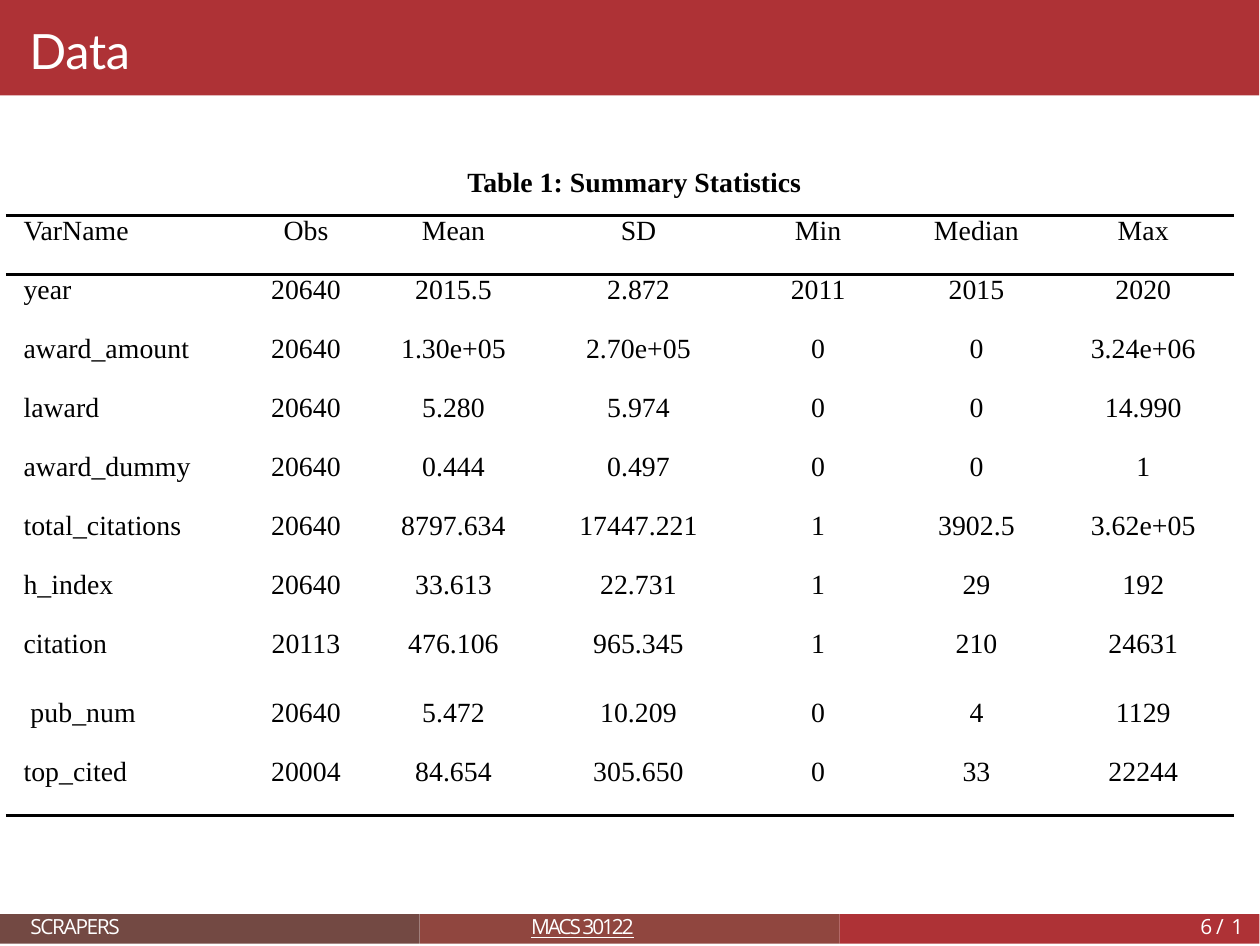
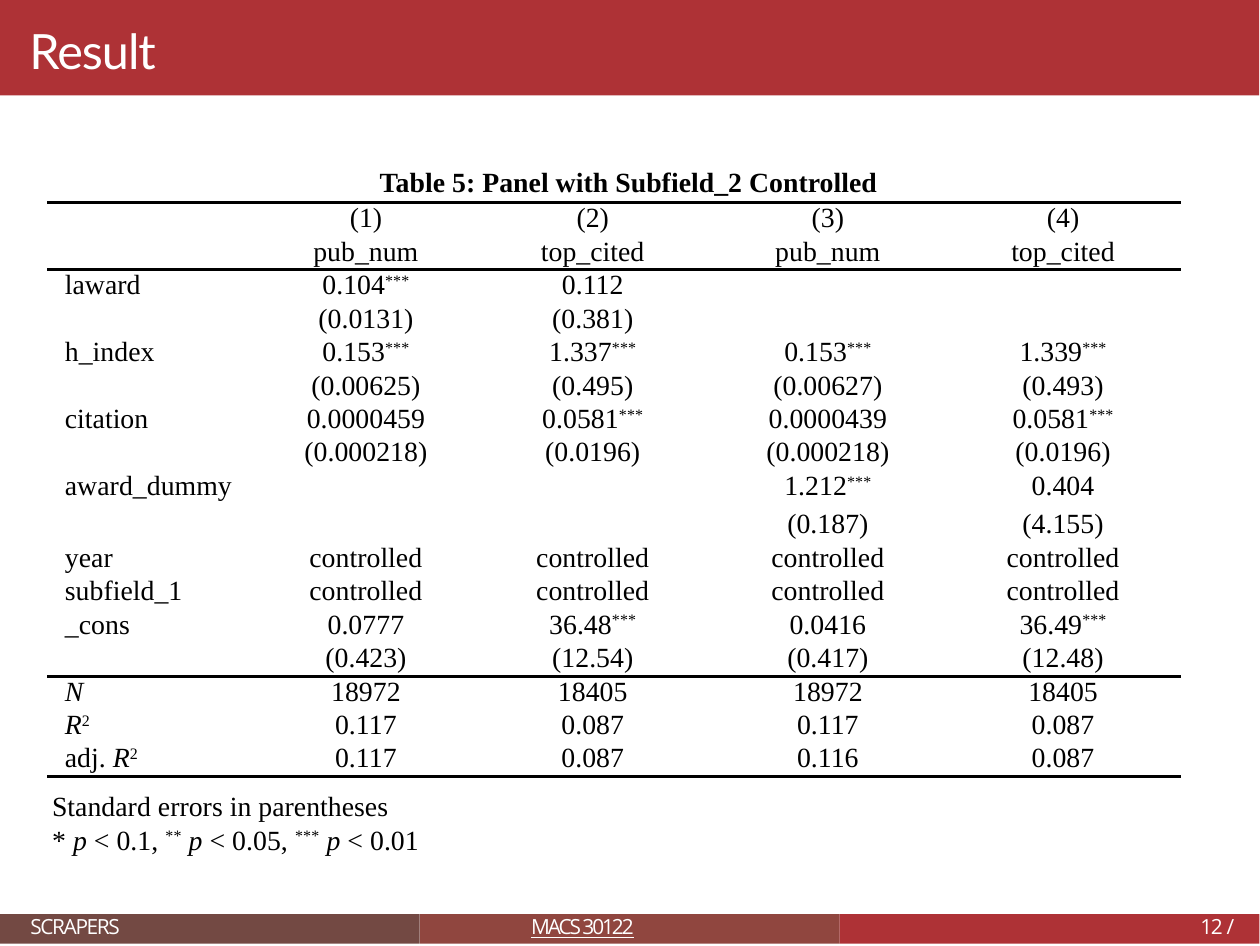
from dataclasses import dataclass

from lxml.etree import SubElement
from pptx import Presentation
from pptx.dml.color import RGBColor
from pptx.enum.shapes import MSO_SHAPE as Shape
from pptx.enum.text import PP_ALIGN as Align
from pptx.oxml import parse_xml
from pptx.oxml.ns import nsdecls, qn
from pptx.util import Cm, Pt

COLORS = {
    "red": "AE3236",
    "brown": "734943",
    "rust": "90463F",
    "white": "FFFFFF",
    "black": "000000",
}
SLIDE_SIZE = Pt(363), Pt(272.5)
BAND_WIDTH = 12.8
TITLE_HEIGHT = 0.97
FOOTER_TOP = 9.29
FOOTER_HEIGHT = 0.3
CELL_MARGIN = 0.18
NO_GRID_STYLE = "{2D5ABB26-0587-4C30-8999-92F81FD0307C}"


@dataclass(frozen=True)
class Style:
    font: str
    size: float
    color: str
    bold: bool = False
    underline: bool = False


@dataclass(frozen=True)
class Band:
    left: float
    top: float
    width: float
    height: float
    color: str


@dataclass(frozen=True)
class Piece:
    text: str
    spacing: float = 0
    italic: bool = False
    raised: bool = False


@dataclass(frozen=True)
class Label:
    left: float
    top: float
    width: float
    height: float
    style: Style
    lines: tuple[tuple[Piece, ...], ...]


@dataclass(frozen=True)
class Grid:
    left: float
    top: float
    columns: tuple[float, ...]
    row_height: float
    tall_row: int
    tall_height: float
    rules: tuple[int, ...]
    rows: tuple[tuple[str, ...], ...]


TITLE = Style("Lato", 14, "white")
FOOTER = Style("Open Sans", 6, "white")
COURSE = Style("Open Sans", 6, "white", underline=True)
BODY = Style("Times New Roman", 8, "black")
CAPTION = Style("Times New Roman", 8, "black", bold=True)

THIRD = BAND_WIDTH / 3
BANDS = [Band(0, 0, BAND_WIDTH, TITLE_HEIGHT, "red")] + [
    Band(index * THIRD, FOOTER_TOP, THIRD, FOOTER_HEIGHT, color)
    for index, color in enumerate(("brown", "rust", "red"))
]

SUMMARY = Grid(
    0.06, 2.19, (2.44, 1.22, 1.78, 1.98, 1.67, 1.55, 1.84), 0.6, 7, 0.7, (0, 1, 10),
    (
        ("VarName", "Obs", "Mean", "SD", "Min", "Median", "Max"),
        ("year", "20640", "2015.5", "2.872", "2011", "2015", "2020"),
        ("award_amount", "20640", "1.30e+05", "2.70e+05", "0", "0", "3.24e+06"),
        ("laward", "20640", "5.280", "5.974", "0", "0", "14.990"),
        ("award_dummy", "20640", "0.444", "0.497", "0", "0", "1"),
        ("total_citations", "20640", "8797.634", "17447.221", "1", "3902.5", "3.62e+05"),
        ("h_index", "20640", "33.613", "22.731", "1", "29", "192"),
        ("citation", "20113", "476.106", "965.345", "1", "210", "24631"),
        (" pub_num", "20640", "5.472", "10.209", "0", "4", "1129"),
        ("top_cited", "20004", "84.654", "305.650", "0", "33", "22244"),
    ),
)

CONTROLLED = ("controlled",) * 4
REGRESSION = Grid(
    0.48, 2.06, (2.13, 2.22, 2.39, 2.39, 2.39), 0.34, 8, 0.39, (0, 2, 14, 17),
    (
        ("", "(1)", "(2)", "(3)", "(4)"),
        ("", "pub_num", "top_cited", "pub_num", "top_cited"),
        ("laward", "0.104|^***", "0.112", "", ""),
        ("", "(0.0131)", "(0.381)", "", ""),
        ("h_index", "0.153|^***", "1.337|^***", "0.153|^***", "1.339|^***"),
        ("", "(0.00625)", "(0.495)", "(0.00627)", "(0.493)"),
        ("citation", "0.0000459", "0.0581|^***", "0.0000439", "0.0581|^***"),
        ("", "(0.000218)", "(0.0196)", "(0.000218)", "(0.0196)"),
        ("award_dummy", "", "", "1.212|^***", "0.404"),
        ("", "", "", "(0.187)", "(4.155)"),
        ("year", *CONTROLLED),
        ("subfield_1", *CONTROLLED),
        ("_cons", "0.0777", "36.48|^***", "0.0416", "36.49|^***"),
        ("", "(0.423)", "(12.54)", "(0.417)", "(12.48)"),
        ("~N", "18972", "18405", "18972", "18405"),
        ("~R|^2", "0.117", "0.087", "0.117", "0.087"),
        ("adj. |~R|^2", "0.117", "0.087", "0.116", "0.087"),
    ),
)


def split_pieces(markup: str) -> tuple[Piece, ...]:
    return tuple(
        Piece(part.lstrip("^~"), italic=part.startswith("~"), raised=part.startswith("^"))
        for part in markup.split("|")
        if part
    )


def write_pieces(paragraph, pieces: tuple[Piece, ...], style: Style) -> None:
    for piece in pieces:
        run = paragraph.add_run()
        run.text = piece.text
        font = run.font
        font.name = style.font
        font.size = Pt(style.size)
        font.bold = style.bold
        font.italic = piece.italic
        font.underline = style.underline
        font.color.rgb = RGBColor.from_string(COLORS[style.color])
        properties = run._r.get_or_add_rPr()
        if piece.spacing:
            properties.set("spc", str(round(piece.spacing * 100)))
        if piece.raised:
            properties.set("baseline", "30000")
    if not pieces:
        SubElement(paragraph._p, qn("a:endParaRPr"), sz=str(round(style.size * 100)))


def draw_band(slide, band: Band) -> None:
    shape = slide.shapes.add_shape(
        Shape.RECTANGLE, Cm(band.left), Cm(band.top), Cm(band.width), Cm(band.height)
    )
    shape.shadow.inherit = False
    shape.fill.solid()
    shape.fill.fore_color.rgb = RGBColor.from_string(COLORS[band.color])
    shape.line.fill.background()


def draw_label(slide, label: Label) -> None:
    box = slide.shapes.add_textbox(
        Cm(label.left), Cm(label.top), Cm(label.width), Cm(label.height)
    )
    frame = box.text_frame
    frame.word_wrap = True
    frame.margin_left = frame.margin_right = frame.margin_top = frame.margin_bottom = 0
    for index, pieces in enumerate(label.lines):
        paragraph = frame.add_paragraph() if index else frame.paragraphs[0]
        write_pieces(paragraph, pieces, label.style)


def set_rule(cell, tag: str, visible: bool) -> None:
    color = f'<a:solidFill><a:srgbClr val="{COLORS["black"]}"/></a:solidFill>'
    line = parse_xml(
        f'<a:{tag} {nsdecls("a")} w="{Pt(1)}">{color if visible else "<a:noFill/>"}</a:{tag}>'
    )
    cell._tc.get_or_add_tcPr().insert(0, line)


def draw_grid(slide, grid: Grid) -> None:
    heights = [grid.row_height] * len(grid.rows)
    heights[grid.tall_row] = grid.tall_height
    table = slide.shapes.add_table(
        len(grid.rows), len(grid.columns), Cm(grid.left), Cm(grid.top),
        Cm(sum(grid.columns)), Cm(sum(heights)),
    ).table
    table.first_row = table.horz_banding = False
    table._tbl.tblPr.find(qn("a:tableStyleId")).text = NO_GRID_STYLE
    for column, width in zip(table.columns, grid.columns):
        column.width = Cm(width)
    for row_index, (row, height, values) in enumerate(zip(table.rows, heights, grid.rows)):
        row.height = Cm(height)
        for column_index, (cell, markup) in enumerate(zip(row.cells, values)):
            cell.margin_left = cell.margin_right = Cm(CELL_MARGIN)
            cell.margin_top = cell.margin_bottom = 0
            cell.fill.background()
            paragraph = cell.text_frame.paragraphs[0]
            paragraph.alignment = Align.CENTER if column_index else Align.LEFT
            write_pieces(paragraph, split_pieces(markup), BODY)
            set_rule(cell, "lnB", row_index + 1 in grid.rules)
            set_rule(cell, "lnT", row_index in grid.rules)


def add_framed_slide(presentation, title: Piece, page: tuple[Piece, ...]):
    slide = presentation.slides.add_slide(presentation.slide_layouts[6])
    for band in BANDS:
        draw_band(slide, band)
    labels = (
        Label(0.3, 0.21, 6, 0.6, TITLE, ((title,),)),
        Label(0.31, FOOTER_TOP, 3.7, FOOTER_HEIGHT, FOOTER, ((Piece("SCRAPERS", -0.4),),)),
        Label(5.4, FOOTER_TOP, 2.1, FOOTER_HEIGHT, COURSE, ((Piece("MACS 30122", -0.6),),)),
        Label(12.2, FOOTER_TOP, 0.58, FOOTER_HEIGHT, FOOTER, (page,)),
    )
    for label in labels:
        draw_label(slide, label)
    return slide


def draw_caption(slide, left: float, text: str) -> None:
    draw_label(slide, Label(left, 1.68, 6, 0.35, CAPTION, ((Piece(text),),)))


def main() -> None:
    presentation = Presentation()
    presentation.slide_width, presentation.slide_height = SLIDE_SIZE

    data = add_framed_slide(
        presentation, Piece("Data", -0.1), (Piece("6 ", -0.4), Piece("/ ", 0.3), Piece("1", -0.7))
    )
    draw_grid(data, SUMMARY)
    draw_caption(data, 4.75, "Table 1: Summary Statistics")

    result = add_framed_slide(
        presentation, Piece("Result", -0.3), (Piece("12 ", -0.4), Piece("/", 0.3))
    )
    draw_caption(result, 3.86, "Table 5: Panel with Subfield_2 Controlled")
    draw_grid(result, REGRESSION)
    notes = (
        "Standard errors in parentheses",
        "* |~p| < 0.1, |^**| |~p| < 0.05, |^***| |~p| < 0.01",
    )
    draw_label(
        result, Label(0.53, 8.02, 5.3, 0.7, BODY, tuple(split_pieces(note) for note in notes))
    )

    presentation.save("out.pptx")


if __name__ == "__main__":
    main()
